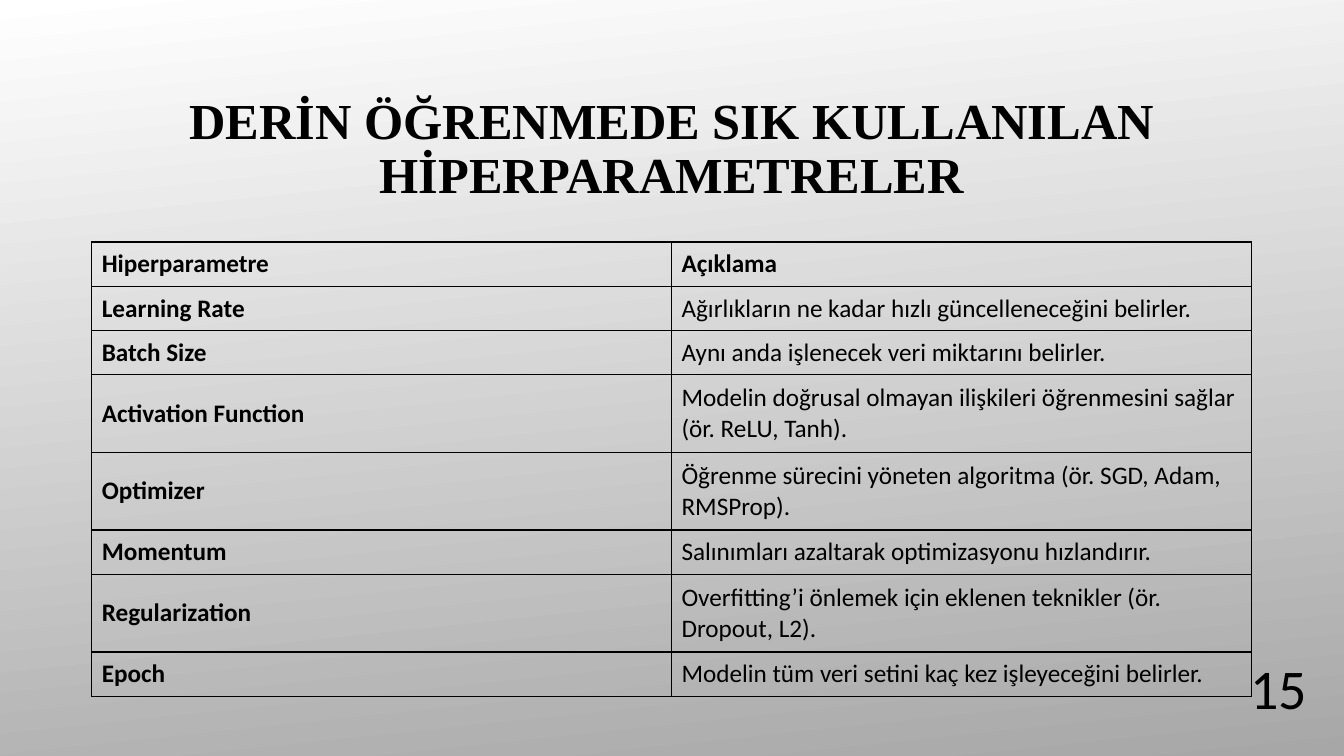
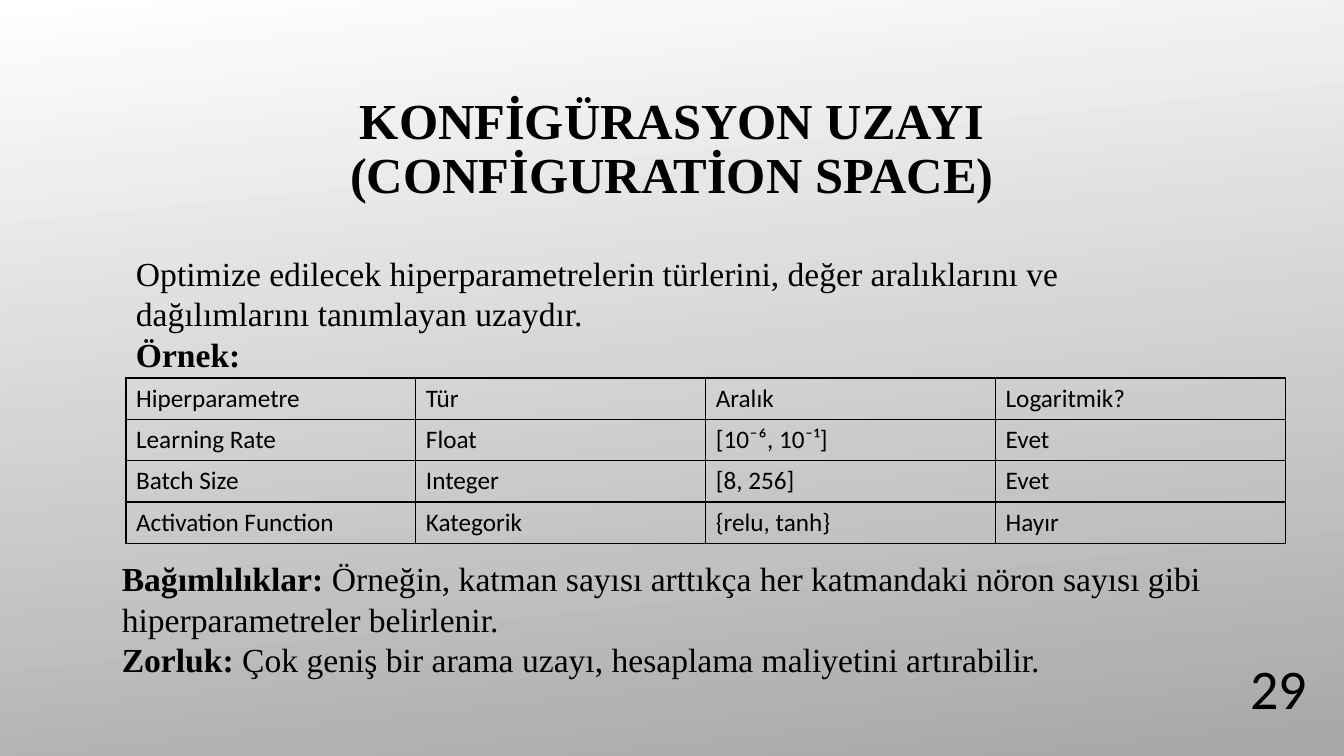
"""Build two slides on deep learning hyperparameters and their configuration space."""
from dataclasses import dataclass

from lxml import etree
from pptx import Presentation
from pptx import util as u
from pptx.dml import color
from pptx.enum import text
from pptx.oxml import ns

COLOURS = {"ink": "000000", "light": "FFFFFF", "dark": "A7A7A7"}
SERIF = "Times New Roman"
SANS = "Calibri"
TABLE_WIDTH = 11.5


@dataclass(frozen=True)
class Span:
    words: str
    bold: bool = False


@dataclass(frozen=True)
class Style:
    font: str
    size: int
    align: text.PP_ALIGN = text.PP_ALIGN.LEFT
    anchor: text.MSO_ANCHOR = text.MSO_ANCHOR.TOP
    spacing: float = 1.0


@dataclass(frozen=True)
class Area:
    left: float
    top: float
    width: float
    height: float


@dataclass(frozen=True)
class Grid:
    left: float
    top: float
    heights: list[float]
    rows: list[list[Span]]


TITLE = Style(SERIF, 36, text.PP_ALIGN.CENTER, text.MSO_ANCHOR.MIDDLE, 0.9)
BODY = Style(SERIF, 24)
NUMBER = Style(SANS, 40, text.PP_ALIGN.RIGHT)
CELL = Style(SANS, 18)

TITLE_AREA = Area(1.25, 0.68, 10.83, 1.62)
NUMBER_AREA = Area(11.59, 6.43, 1.47, 0.92)
INTRO_AREA = Area(1.25, 2.46, 10.83, 1.45)
NOTES_AREA = Area(1.11, 5.49, 10.97, 1.31)

DESCRIPTIONS = [
    ("Hiperparametre", "Açıklama"),
    ("Learning Rate", "Ağırlıkların ne kadar hızlı güncelleneceğini belirler."),
    ("Batch Size", "Aynı anda işlenecek veri miktarını belirler."),
    ("Activation Function",
     "Modelin doğrusal olmayan ilişkileri öğrenmesini sağlar (ör. ReLU, Tanh)."),
    ("Optimizer", "Öğrenme sürecini yöneten algoritma (ör. SGD, Adam, RMSProp)."),
    ("Momentum", "Salınımları azaltarak optimizasyonu hızlandırır."),
    ("Regularization",
     "Overfitting’i önlemek için eklenen teknikler (ör. Dropout, L2)."),
    ("Epoch", "Modelin tüm veri setini kaç kez işleyeceğini belirler."),
]
SEARCH_SPACE = [
    ("Hiperparametre", "Tür", "Aralık", "Logaritmik?"),
    ("Learning Rate", "Float", "[10⁻⁶, 10⁻¹]", "Evet"),
    ("Batch Size", "Integer", "[8, 256]", "Evet"),
    ("Activation Function", "Kategorik", "{relu, tanh}", "Hayır"),
]
INTRO = [
    [Span("Optimize edilecek hiperparametrelerin türlerini, değer aralıklarını "
          "ve dağılımlarını tanımlayan uzaydır.")],
    [Span("Örnek:", True)],
]
NOTES = [
    [Span("Bağımlılıklar:", True),
     Span(" Örneğin, katman sayısı arttıkça her katmandaki nöron sayısı gibi "
          "hiperparametreler belirlenir.")],
    [Span("Zorluk:", True),
     Span(" Çok geniş bir arama uzayı, hesaplama maliyetini artırabilir.")],
]


def rgb(name: str) -> color.RGBColor:
    return color.RGBColor.from_string(COLOURS[name])


def write(frame, paragraphs: list[list[Span]], style: Style) -> None:
    for index, spans in enumerate(paragraphs):
        para = frame.paragraphs[0] if index == 0 else frame.add_paragraph()
        para.alignment = style.align
        para.line_spacing = style.spacing
        for span in spans:
            run = para.add_run()
            run.text = span.words
            run.font.name = style.font
            run.font.size = u.Pt(style.size)
            run.font.bold = span.bold
            run.font.color.rgb = rgb("ink")


def add_text(page, area: Area, paragraphs: list[list[Span]], style: Style) -> None:
    box = page.shapes.add_textbox(u.Inches(area.left), u.Inches(area.top),
                                  u.Inches(area.width), u.Inches(area.height))
    box.text_frame.word_wrap = True
    box.text_frame.vertical_anchor = style.anchor
    write(box.text_frame, paragraphs, style)


def add_borders(cell) -> None:
    properties = cell._tc.get_or_add_tcPr()
    for position, side in enumerate(("lnL", "lnR", "lnT", "lnB")):
        line = etree.Element(ns.qn(f"a:{side}"), w=str(u.Pt(1)))
        fill = etree.SubElement(line, ns.qn("a:solidFill"))
        etree.SubElement(fill, ns.qn("a:srgbClr"), val=COLOURS["ink"])
        properties.insert(position, line)


def add_grid(page, grid: Grid) -> None:
    columns = len(grid.rows[0])
    table = page.shapes.add_table(
        len(grid.rows), columns, u.Inches(grid.left), u.Inches(grid.top),
        u.Inches(TABLE_WIDTH), u.Inches(sum(grid.heights))).table
    table.first_row = False
    table.horz_banding = False
    for column in table.columns:
        column.width = u.Inches(TABLE_WIDTH / columns)
    for row, height, spans in zip(table.rows, grid.heights, grid.rows):
        row.height = u.Inches(height)
        for cell, span in zip(row.cells, spans):
            cell.fill.background()
            cell.vertical_anchor = text.MSO_ANCHOR.MIDDLE
            write(cell.text_frame, [[span]], CELL)
            add_borders(cell)


def add_page(deck, title: str, number: int):
    page = deck.slides.add_slide(deck.slide_layouts[6])
    fill = page.background.fill
    fill.gradient()
    fill.gradient_angle = 360 - 84
    for stop, name in zip(fill.gradient_stops, ("light", "dark")):
        stop.color.rgb = rgb(name)
    add_text(page, TITLE_AREA, [[Span(title, True)]], TITLE)
    add_text(page, NUMBER_AREA, [[Span(str(number))]], NUMBER)
    return page


def main() -> None:
    deck = Presentation()
    deck.slide_width = u.Inches(13.33)
    deck.slide_height = u.Inches(7.5)

    page = add_page(deck, "DERİN ÖĞRENMEDE SIK KULLANILAN HİPERPARAMETRELER", 15)
    rows = [[Span(name, True), Span(description, index == 0)]
            for index, (name, description) in enumerate(DESCRIPTIONS)]
    heights = [0.44, 0.44, 0.44, 0.77, 0.77, 0.44, 0.77, 0.44]
    add_grid(page, Grid(0.91, 2.4, heights, rows))

    page = add_page(deck, "KONFİGÜRASYON UZAYI (CONFİGURATİON SPACE)", 29)
    add_text(page, INTRO_AREA, INTRO, BODY)
    rows = [[Span(words) for words in row] for row in SEARCH_SPACE]
    add_grid(page, Grid(1.25, 3.75, [0.41] * len(rows), rows))
    add_text(page, NOTES_AREA, NOTES, BODY)

    deck.save("out.pptx")


if __name__ == "__main__":
    main()
